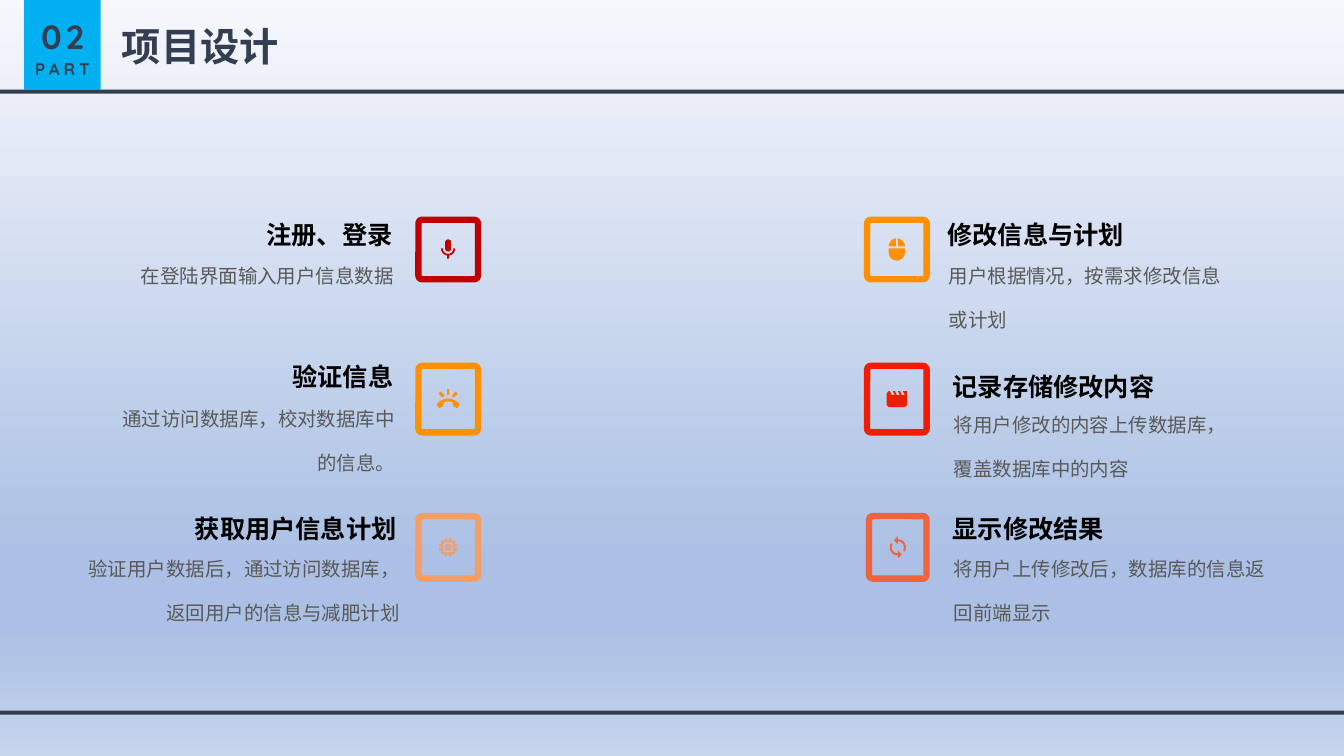
from math import cos, radians, sin

from lxml.etree import SubElement
from pptx import Presentation
from pptx.dml.color import RGBColor
from pptx.enum.shapes import MSO_SHAPE as Preset
from pptx.enum.text import MSO_ANCHOR as Anchor, PP_ALIGN as Align
from pptx.oxml.ns import qn
from pptx.util import Inches, Pt

CJK = "Noto Sans CJK SC"
NAVY = "333F50"
GRID = 24  # icons are drawn on a 24 by 24 grid
UNIT = 0.01  # inches per grid step
FINE = 100  # freeform points are whole numbers, so each step is split

HEADING = {"name": CJK, "size": Pt(18), "bold": True}
BODY = {"name": CJK, "size": Pt(24)}
TITLE = {"name": CJK, "size": Pt(28), "bold": True}


def color(value):
    return RGBColor.from_string(value)


def inches(box):
    return [Inches(length) for length in box]


def paint(shape, fill=None, line=None, width=4.5):
    shape.shadow.inherit = False
    if fill:
        shape.fill.solid()
        shape.fill.fore_color.rgb = color(fill)
    else:
        shape.fill.background()
    if line:
        shape.line.color.rgb = color(line)
        shape.line.width = Pt(width)
    else:
        shape.line.fill.background()


def write(para, text, formats, tint, **extra):
    """Add a run; extra holds run attributes such as baseline or spc."""
    span = para.add_run()
    span.text = text
    for name, value in formats.items():
        setattr(span.font, name, value)
    span.font.color.rgb = color(tint)
    properties = span.font._element
    SubElement(properties, qn("a:ea"), typeface=formats["name"])
    for name, value in extra.items():
        properties.set(name, value)


def set_frame(frame, inset_x, inset_y, anchor=Anchor.TOP, wrap=True):
    values = {
        "margin_left": Inches(inset_x), "margin_right": Inches(inset_x),
        "margin_top": Inches(inset_y), "margin_bottom": Inches(inset_y),
        "vertical_anchor": anchor, "word_wrap": wrap,
    }
    for name, value in values.items():
        setattr(frame, name, value)


def arc(x, y, radius, start, end, steps=14):
    """Points along a circle, in degrees, clockwise from the right."""
    angles = [radians(start + (end - start) * i / steps) for i in range(steps + 1)]
    return [(x + radius * cos(a), y + radius * sin(a)) for a in angles]


def square(near, far):
    return [(near, near), (far, near), (far, far), (near, far)]


def mirror(points):
    return [(GRID - x, y) for x, y in points]


def quarter_turn(points):
    return [(GRID - y, x) for x, y in points]


def microphone():
    capsule = arc(12, 5, 3, 180, 360) + arc(12, 11, 3, 0, 180)
    stand = (arc(12, 11, 7, 0, 82) + [(13, 21), (11, 21)]
             + arc(12, 11, 7, 98, 180) + arc(12, 11, 5.3, 180, 0))
    return [capsule, stand]


def ringing_phone():
    handset = (arc(12, 25.5, 14, 215, 325) + [(21, 21), (17, 19)]
               + arc(12, 25.5, 11.2, 293, 247) + [(7, 19), (3, 21)])
    ray = [(21.5, 6.5), (19.5, 4.5), (15.5, 8.5), (17.5, 10.5)]
    return [handset, ray, mirror(ray), [(11, 2), (13, 2), (13, 8), (11, 8)]]


def chip():
    side = [(5, 5), (9, 5), (9, 3), (11, 3), (11, 5), (13, 5), (13, 3), (15, 3), (15, 5)]
    rim = []
    for _ in range(4):
        rim += side
        side = quarter_turn(side)
    return [rim, square(7, 17), square(9, 15), square(11, 13)]


def mouse():
    button = arc(12, 9, 8, 180, 263) + [(11, 9)]
    return [button, mirror(button), arc(12, 15, 8, 0, 180) + [(4, 11), (20, 11)]]


def clapperboard():
    stripes = [(left + dx, y) for left in (15, 10, 5)
               for dx, y in ((3, 4), (5, 8), (2, 8), (0, 4))]
    return [stripes + [(4, 4), (2, 6), (2, 18), (4, 20), (20, 20), (22, 18), (22, 4)]]


def sync_arrows():
    arrow = [(12, 1), (8, 5), (12, 9)] + arc(12, 12, 6, 270, 390) + arc(12, 12, 8, 392, 270)
    return [arrow, quarter_turn(quarter_turn(arrow))]


def add_badge(page, box, icon, tint):
    """Rounded frame with the icon centred in it."""
    frame = page.shapes.add_shape(Preset.ROUNDED_RECTANGLE, *inches(box))
    frame.adjustments[0] = 0.06
    paint(frame, line=tint)
    contours = [[(x * FINE, y * FINE) for x, y in contour] for contour in icon()]
    builder = page.shapes.build_freeform(*contours[0][0], scale=Inches(UNIT) / FINE)
    for contour in contours:
        builder.move_to(*contour[0])
        builder.add_line_segments(contour[1:], close=True)
    left, top, width, height = box
    half = GRID * UNIT / 2
    paint(builder.convert_to_shape(Inches(left + width / 2 - half),
                                   Inches(top + height / 2 - half)), fill=tint)


def add_text(page, box, text, formats, tint, align, inset, **extra):
    frame = page.shapes.add_textbox(*inches(box)).text_frame
    set_frame(frame, *inset)
    para = frame.paragraphs[0]
    para.alignment = align
    write(para, text, formats, tint, **extra)


def add_step(page, align, badge, heading, body):
    add_badge(page, *badge)
    add_text(page, *heading, HEADING, "000000", align, (0.1, 0.05))
    add_text(page, *body, BODY, "595959", align, (0.03, 0.03), baseline="52000")


def add_background(page):
    fill = page.background.fill
    fill.gradient()
    fill.gradient_angle = 270
    stops = page.element.find(".//" + qn("a:gsLst"))
    for stop in list(stops):
        stops.remove(stop)
    for percent, tint in ((0, "F6F8FC"), (74, "ABC0E4"), (83, "ABC0E4"), (100, "C7D5ED")):
        stop = SubElement(stops, qn("a:gs"), pos=str(percent * 1000))
        SubElement(stop, qn("a:srgbClr"), val=tint)


def add_header(page, box):
    left, top, width, height = box
    title = page.shapes.title
    title.left, title.top, title.width, title.height = inches(
        (left + 1.11, top + 0.17, 1.77, 0.57))
    set_frame(title.text_frame, 0.1, 0.05, wrap=False)
    para = title.text_frame.paragraphs[0]
    para.alignment = Align.LEFT
    para.line_spacing = 1.0
    para.space_before = Pt(0)
    write(para, "项目设计", TITLE, NAVY)

    tab = page.shapes.add_shape(Preset.RECTANGLE, *inches((left + 0.24, top, 0.76, height)))
    paint(tab, fill="00B0F0")
    frame = tab.text_frame
    set_frame(frame, 0, 0, Anchor.MIDDLE)
    for para, text, size in ((frame.paragraphs[0], "02", 24), (frame.add_paragraph(), "PART", 12)):
        para.alignment = Align.CENTER
        para.line_spacing = 1.14
        write(para, text, {"name": "Quicksand", "size": Pt(size), "bold": True}, NAVY, spc="300")


def add_rule(page, top):
    rule = page.shapes.add_shape(Preset.RECTANGLE, *inches((0, top, 13.33, 0.04)))
    paint(rule, fill=NAVY)


STEPS = [
    (Align.RIGHT, ((4.15, 2.18, 0.59, 0.59), microphone, "C00000"),
     ((2.24, 2.13, 1.75, 0.4), "注册、登录"),
     ((1, 2.59, 2.94, 0.46), "在登陆界面输入用户信息数据")),
    (Align.RIGHT, ((4.15, 3.63, 0.59, 0.66), ringing_phone, "FF9001"),
     ((1.17, 3.54, 2.83, 0.4), "验证信息"),
     ((1, 4.01, 2.95, 0.46), "通过访问数据库，校对数据库中的信息。")),
    (Align.RIGHT, ((4.15, 5.12, 0.59, 0.62), chip, "F29E66"),
     ((1.54, 5.04, 2.49, 0.4), "获取用户信息计划"),
     ((0.8, 5.5, 3.2, 0.46), "验证用户数据后，通过访问数据库，返回用户的信息与减肥计划")),
    (Align.LEFT, ((8.6, 2.18, 0.59, 0.59), mouse, "FF9001"),
     ((9.3, 2.13, 2.14, 0.4), "修改信息与计划"),
     ((9.38, 2.59, 2.9, 0.46), "用户根据情况，按需求修改信息或计划")),
    (Align.LEFT, ((8.6, 3.63, 0.59, 0.66), clapperboard, "F41C00"),
     ((9.35, 3.63, 2.22, 0.4), "记录存储修改内容"),
     ((9.43, 4.07, 2.94, 0.46), "将用户修改的内容上传数据库，覆盖数据库中的内容")),
    (Align.LEFT, ((8.62, 5.12, 0.57, 0.62), sync_arrows, "EF633D"),
     ((9.35, 5.04, 2.22, 0.4), "显示修改结果"),
     ((9.43, 5.5, 3.22, 0.46), "将用户上传修改后，数据库的信息返回前端显示")),
]


def main():
    deck = Presentation()
    deck.slide_width, deck.slide_height = Inches(13.33), Inches(7.5)
    page = deck.slides.add_slide(deck.slide_layouts[5])
    add_background(page)
    add_header(page, (0, 0, 13.33, 0.89))
    for step in STEPS:
        add_step(page, *step)
    for top in (0.89, 7.05):
        add_rule(page, top)
    deck.save("out.pptx")


if __name__ == "__main__":
    main()
